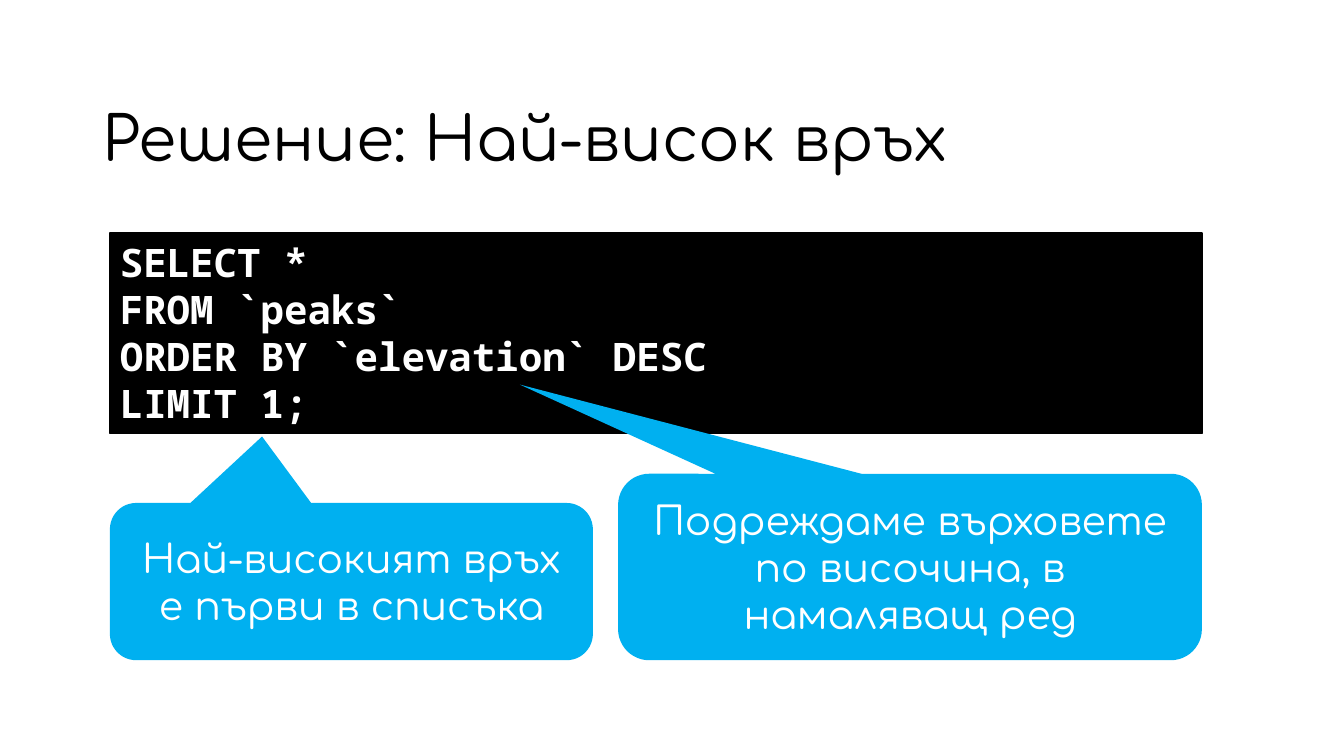
from pptx import Presentation
from pptx.dml.color import RGBColor
from pptx.enum.shapes import MSO_SHAPE
from pptx.enum.text import MSO_ANCHOR, PP_ALIGN
from pptx.util import Pt

RECTANGLE = MSO_SHAPE.RECTANGLE
CALLOUT = MSO_SHAPE.ROUNDED_RECTANGULAR_CALLOUT
TOP, MIDDLE = MSO_ANCHOR.TOP, MSO_ANCHOR.MIDDLE
LEFT, CENTER = PP_ALIGN.LEFT, PP_ALIGN.CENTER
BLACK = RGBColor(0x00, 0x00, 0x00)
WHITE = RGBColor(0xFF, 0xFF, 0xFF)
BLUE = RGBColor(0x00, 0xB0, 0xF0)
TEXT_FONT = "Comfortaa"
CODE_FONT = "Noto Sans Mono"
BODY_SIZE = 28

CONTENT_LEFT = 78.5
CONTENT_WIDTH = 780
CALLOUT_BOTTOM = 471.6
CORNER = 0.167
QUERY = ["SELECT *", "FROM `peaks`", "ORDER BY `elevation` DESC", "LIMIT 1;"]


def write_lines(shape, lines, font, size, color, align, anchor, bold=False):
    frame = shape.text_frame
    frame.word_wrap = True
    frame.vertical_anchor = anchor
    for index, line in enumerate(lines):
        para = frame.add_paragraph() if index else frame.paragraphs[0]
        para.alignment = align
        span = para.add_run()
        span.text = line
        span.font.name = font
        span.font.size = Pt(size)
        span.font.bold = bold
        span.font.color.rgb = color


def add_panel(page, kind, box, fill):
    panel = page.shapes.add_shape(kind, *map(Pt, box))
    panel.shadow.inherit = False
    panel.fill.solid()
    panel.fill.fore_color.rgb = fill
    panel.line.fill.background()
    return panel


def add_title(page, box, text):
    title = page.shapes.add_textbox(*map(Pt, box))
    write_lines(title, [text], TEXT_FONT, 44, BLACK, LEFT, MIDDLE)
    title.text_frame.paragraphs[0].line_spacing = 0.9


def add_code(page, box, lines):
    panel = add_panel(page, RECTANGLE, box, BLACK)
    panel.line.color.rgb = BLACK
    panel.line.width = Pt(1)
    write_lines(panel, lines, CODE_FONT, BODY_SIZE, WHITE, LEFT, TOP, True)


def add_callout(page, box, tip, text):
    left, top, width, height = box
    panel = add_panel(page, CALLOUT, box, BLUE)
    panel.adjustments[0] = (tip[0] - left) / width - 0.5
    panel.adjustments[1] = (tip[1] - top) / height - 0.5
    panel.adjustments[2] = CORNER
    write_lines(panel, [text], TEXT_FONT, BODY_SIZE, WHITE, CENTER, MIDDLE)


def build_slide(deck):
    page = deck.slides.add_slide(deck.slide_layouts[6])
    add_code(page, (CONTENT_LEFT, 166.3, CONTENT_WIDTH, 143.3), QUERY)

    height = 112.3
    add_callout(page, (CONTENT_LEFT, CALLOUT_BOTTOM - height, 345, height),
                (187.2, 311.8), "Най-високият връх е първи в списъка")

    width, height = 417, 133.2
    right = CONTENT_LEFT + CONTENT_WIDTH
    add_callout(page, (right - width, CALLOUT_BOTTOM - height, width, height),
                (371.3, 274.7),
                "Подреждаме върховете по височина, в намаляващ ред")

    add_title(page, (66.2, 49, 828, 104.4), "Решение: Най-висок връх")


def main():
    deck = Presentation()
    deck.slide_width = Pt(960)
    deck.slide_height = Pt(540)
    build_slide(deck)
    deck.save("out.pptx")


if __name__ == "__main__":
    main()
